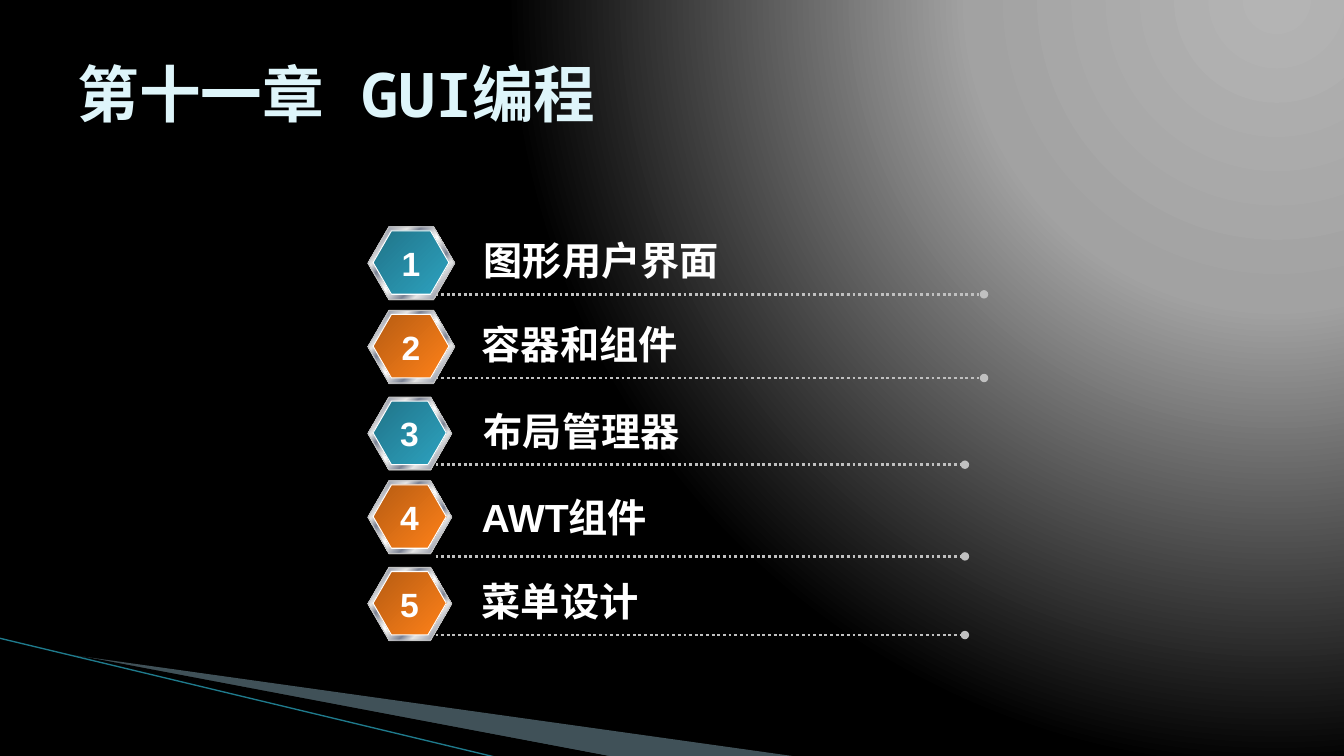
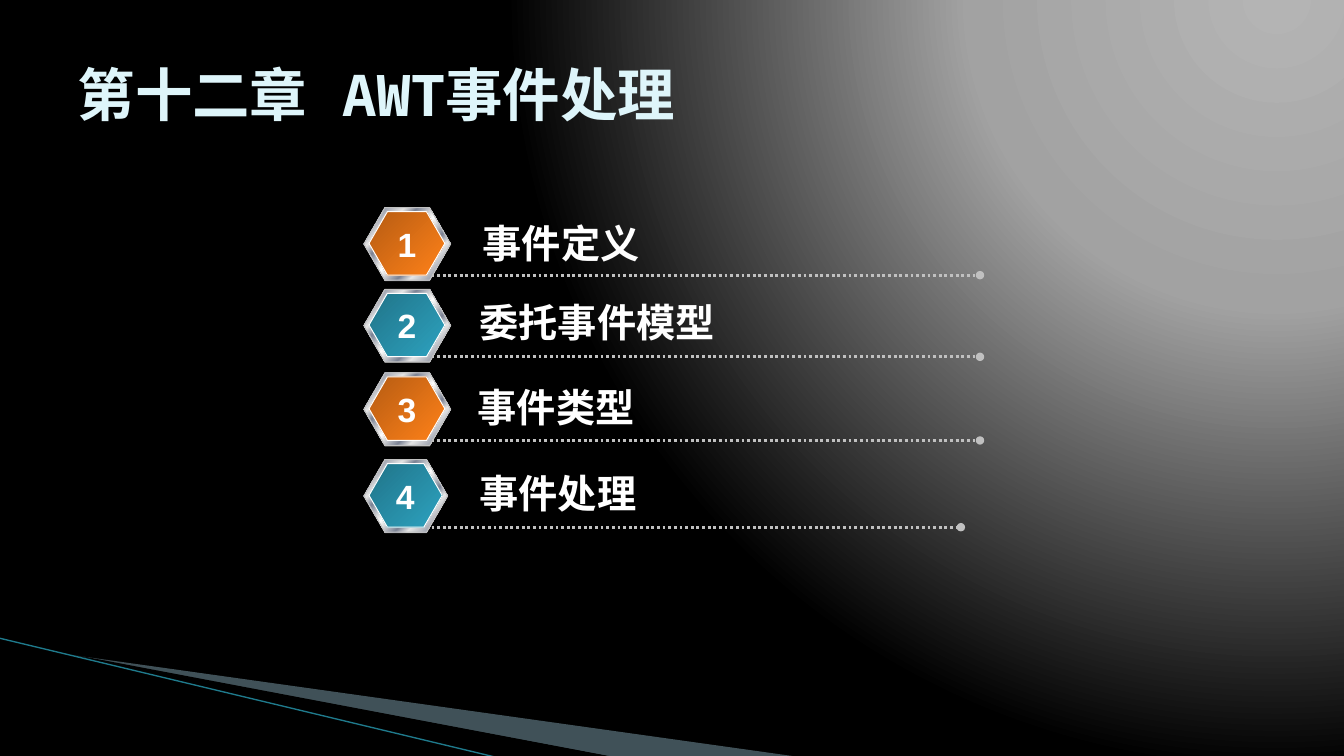
from dataclasses import dataclass

from pptx import Presentation
from pptx.dml.color import RGBColor
from pptx.enum.dml import MSO_LINE
from pptx.enum.shapes import MSO_CONNECTOR, MSO_SHAPE
from pptx.enum.text import MSO_ANCHOR, MSO_AUTO_SIZE, PP_ALIGN
from pptx.oxml.ns import qn
from pptx.oxml.xmlchemy import OxmlElement as Element
from pptx.util import Inches, Pt

COLORS = {
    "title": "DEF5FA", "text": "FFFFFF", "rule": "C0C0C0", "shade": "808080",
    "band": "A0CBDC", "wedge": "000000", "edge": "1F7A8C",
}
GRADIENTS = {
    "backdrop": [(0, "B4B4B4"), (40, "A2A2A2"), (100, "000000")],
    "teal": [(0, "207489"), (100, "2DA2BF")],
    "orange": [(0, "B65C12"), (100, "FF8119")],
    "metal": [(0, "E6E6E6"), (8, "7D8496"), (26, "E6E6E6"), (34, "7D8496"),
              (46, "E6E6E6"), (50, "FFFFFF"), (54, "E6E6E6"), (66, "7D8496"),
              (74, "E6E6E6"), (93, "7D8496"), (100, "E6E6E6")],
}
TITLE_FONT, BODY_FONT = "Noto Sans Mono", "Arial"
WIDE, NARROW = 0.86, 0.83
BADGE_HEIGHT, RULE_LENGTH = 0.72, 5.44


@dataclass
class Row:
    """One agenda line; the offsets are measured from its badge's corner."""
    label: str
    top: float
    color: str
    width: float = WIDE
    label_dx: float = 1.05
    label_dy: float = 0.05
    rule_dy: float = 0.67


def rgb(name):
    return RGBColor.from_string(COLORS[name])


def child(parent, tag, **attrs):
    el = Element(tag)
    for key, value in attrs.items():
        el.set(key, str(value))
    parent.append(el)
    return el


def set_stops(grad, name):
    """Replace the stops of an a:gradFill with a named list."""
    stops = grad.find(qn("a:gsLst"))
    for gs in list(stops):
        stops.remove(gs)
    for pos, color in GRADIENTS[name]:
        child(child(stops, "a:gs", pos=pos * 1000), "a:srgbClr", val=color)


def format_text(tf, size, color, font=BODY_FONT, align=PP_ALIGN.LEFT):
    for p in tf.paragraphs:
        p.alignment = align
        for r in p.runs:
            r.font.size, r.font.bold, r.font.name = Pt(size), True, font
            r.font.color.rgb = rgb(color)
            child(r.font._element, "a:ea", typeface=font)


def add_text(s, text, x, y, w, h, size, align=PP_ALIGN.LEFT, wrap=True):
    tf = s.shapes.add_textbox(Inches(x), Inches(y), Inches(w), Inches(h)).text_frame
    tf.text = text
    tf.word_wrap = wrap
    tf.auto_size = MSO_AUTO_SIZE.SHAPE_TO_FIT_TEXT
    format_text(tf, size, "text", align=align)


def add_line(s, x1, y1, x2, y2, color, width):
    line = s.shapes.add_connector(MSO_CONNECTOR.STRAIGHT, Inches(x1), Inches(y1),
                                  Inches(x2), Inches(y2))
    line.line.color.rgb = rgb(color)
    line.line.width = Pt(width)
    child(line._element.spPr, "a:effectLst")
    return line


def add_polygon(s, points, color):
    start, *rest = [(Inches(x), Inches(y)) for x, y in points]
    builder = s.shapes.build_freeform(*start)
    builder.add_line_segments(rest, close=True)
    sp = builder.convert_to_shape()
    sp.shadow.inherit = False
    sp.fill.solid()
    sp.fill.fore_color.rgb = rgb(color)
    sp.line.fill.background()
    return sp


def add_hexagon(group, x, y, w, h, gradient=None, line=None):
    sp = group.shapes.add_shape(MSO_SHAPE.HEXAGON, Inches(x), Inches(y),
                                Inches(w), Inches(h))
    sp.adjustments[0] = 0.289
    sp.shadow.inherit = False
    if gradient:
        sp.fill.gradient()
        sp.fill.gradient_angle = 315
        set_stops(sp._element.spPr.find(qn("a:gradFill")), gradient)
    else:
        sp.fill.solid()
        sp.fill.fore_color.rgb = rgb("shade")
    if line:
        sp.line.color.rgb = rgb(line)
        sp.line.width = Pt(0.75)
    else:
        sp.line.fill.background()


def add_badge(s, x, y, w, color, number):
    group = s.shapes.add_group_shape()
    h = BADGE_HEIGHT
    add_hexagon(group, x, y + 0.01, w, h)
    add_hexagon(group, x, y, w, h, "metal", "rule")
    add_hexagon(group, x + 0.05, y + 0.04, w * 0.875, h * 0.875, color, "text")
    add_text(s, str(number), x + w / 2 - 0.2, y + 0.11, 0.39, 0.5, 24,
             PP_ALIGN.CENTER, wrap=False)


def add_row(s, x, number, row):
    rule_x, rule_y = x + 0.67, row.top + row.rule_dy
    rule_end = rule_x + RULE_LENGTH * row.width / WIDE
    add_badge(s, x, row.top, row.width, row.color, number)
    rule = add_line(s, rule_x, rule_y, rule_end, rule_y, "rule", 2)
    rule.line.dash_style = MSO_LINE.ROUND_DOT
    child(rule.line._get_or_add_ln(), "a:tailEnd", type="oval")
    add_text(s, row.label, x + row.label_dx, row.top + row.label_dy, 4, 0.57, 28)


def dress_layout(layout, s):
    """Give the layout its backdrop, title box and corner, drawn by way of s."""
    for ph in list(layout.placeholders):
        if ph.placeholder_format.idx:
            ph._element.getparent().remove(ph._element)
        else:
            ph.left, ph.top = Inches(0.67), Inches(0.3)
            ph.width, ph.height = Inches(12), Inches(1.25)

    layout.background.fill.gradient()
    grad = layout._element.xpath(".//p:bg//a:gradFill")[0]
    set_stops(grad, "backdrop")
    grad.remove(grad.find(qn("a:lin")))
    child(child(grad, "a:path", path="circle"), "a:fillToRect",
          l=95000, t=-106000, r=5000, b=206000)

    band = add_polygon(s, [(0.73, 6.5), (7.93, 7.51), (6.08, 7.51)], "band")
    clr = band._element.spPr.find(qn("a:solidFill"))[0]
    child(clr, "a:alpha", val=40000)
    wedge = add_polygon(s, [(0.71, 6.49), (6.09, 7.51), (4.96, 7.51)], "wedge")
    edge = add_line(s, -0.01, 6.33, 4.95, 7.52, "edge", 0.95)
    for part in (band, wedge, edge):
        layout.shapes._spTree.append(part._element)


def fill_agenda(s, title, title_size, x, rows):
    tf = s.shapes.title.text_frame
    tf.text = title
    tf.vertical_anchor = MSO_ANCHOR.MIDDLE
    tf.auto_size = MSO_AUTO_SIZE.NONE
    format_text(tf, title_size, "title", TITLE_FONT)
    for number, row in enumerate(rows, 1):
        add_row(s, x, number, row)


def main():
    prs = Presentation()
    prs.slide_width, prs.slide_height = Inches(13.33), Inches(7.5)
    layout = prs.slide_layouts[5]
    gui = prs.slides.add_slide(layout)
    dress_layout(layout, gui)
    events = prs.slides.add_slide(layout)

    fill_agenda(gui, "第十一章 GUI编程", 44, 3.65, [
        Row("图形用户界面", 2.25, "teal"),
        Row("容器和组件", 3.08, "orange", label_dx=1.03),
        Row("布局管理器", 3.94, "teal", NARROW),
        Row("AWT组件", 4.77, "orange", NARROW, 1.03, 0.07, 0.75),
        Row("菜单设计", 5.63, "orange", NARROW, 1.03),
    ])
    fill_agenda(events, "第十二章 AWT事件处理", 41, 3.61, [
        Row("事件定义", 2.06, "orange", label_dx=1.08, label_dy=0.07),
        Row("委托事件模型", 2.87, "teal", label_dy=0.04),
        Row("事件类型", 3.7, "orange", label_dx=1.03),
        Row("事件处理", 4.56, "teal", NARROW),
    ])
    prs.save("out.pptx")


if __name__ == "__main__":
    main()
